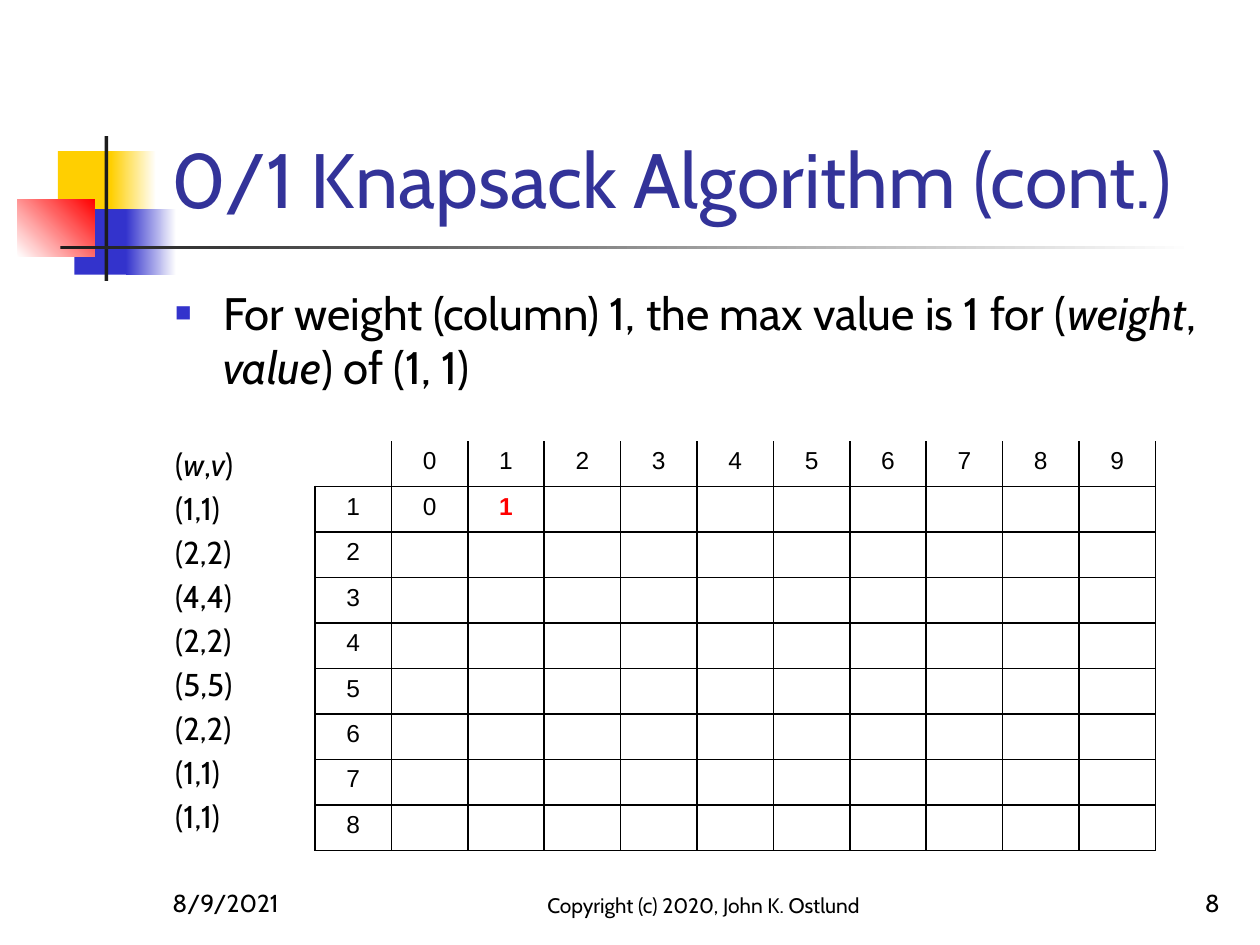
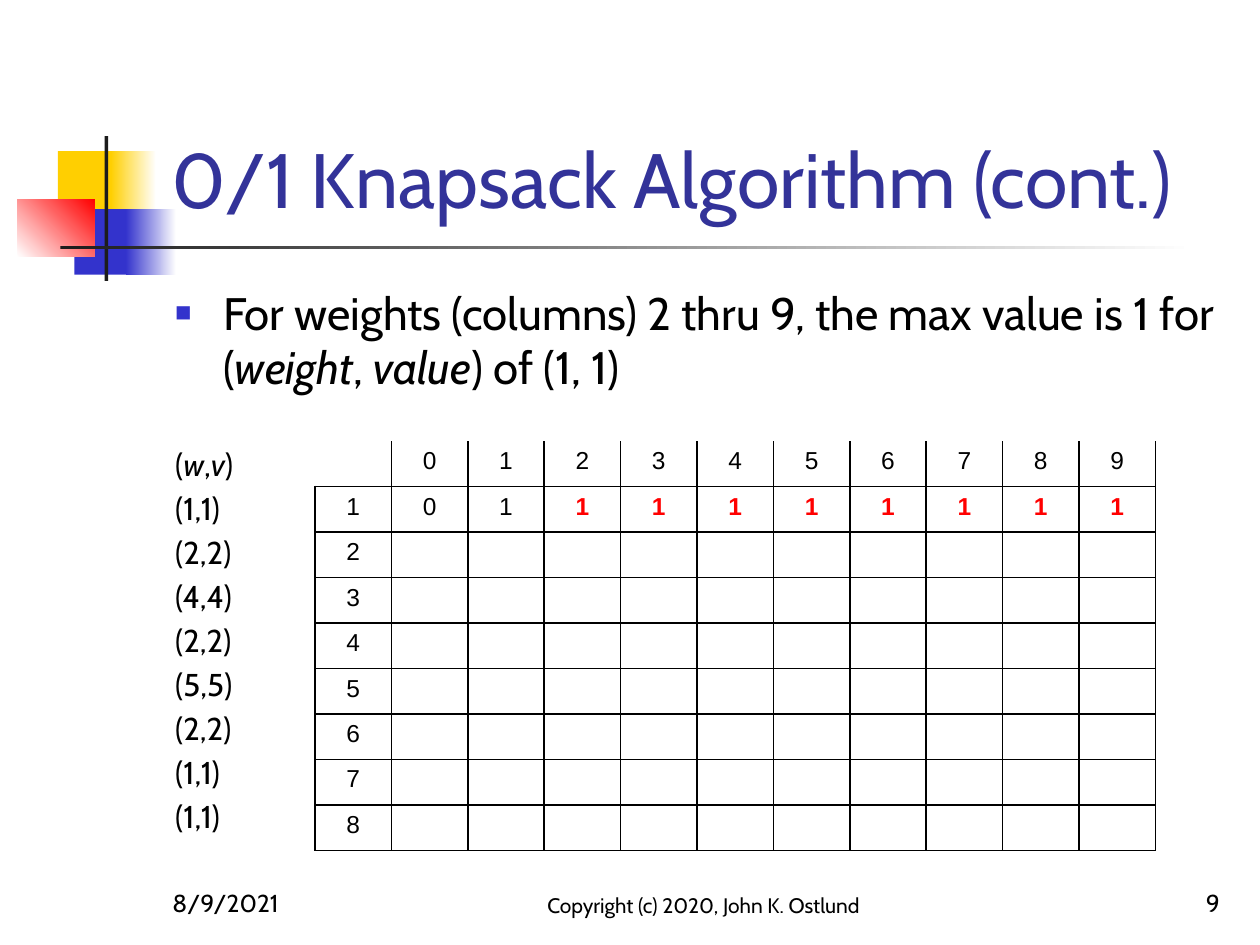
from dataclasses import dataclass
from typing import Any, NamedTuple

from lxml import etree
from pptx import Presentation
from pptx.dml.color import RGBColor
from pptx.enum.shapes import MSO_SHAPE
from pptx.enum.text import MSO_ANCHOR, MSO_AUTO_SIZE, PP_ALIGN
from pptx.oxml.ns import qn
from pptx.util import Inches, Pt

RECTANGLE = MSO_SHAPE.RECTANGLE
BOTTOM, TOP = MSO_ANCHOR.BOTTOM, MSO_ANCHOR.TOP
LEFT, CENTER, RIGHT = PP_ALIGN.LEFT, PP_ALIGN.CENTER, PP_ALIGN.RIGHT
NO_AUTOFIT = MSO_AUTO_SIZE.NONE

BLACK, WHITE, CHARCOAL = "000000", "FFFFFF", "1C1C1C"
YELLOW, BLUE, RED, NAVY = "FFCF01", "3333CC", "FF0000", "333399"
TEXT_FONT, TABLE_FONT = "Cabin", "Arial"

TITLE = "0/1 Knapsack Algorithm (cont.)"
ITEMS = [(1, 1), (2, 2), (4, 4), (2, 2), (5, 5), (2, 2), (1, 1), (1, 1)]
WEIGHTS = range(10)


class Area(NamedTuple):
    left: float
    top: float
    width: float
    height: float


class Span(NamedTuple):
    text: str
    italic: bool = False


@dataclass
class Bar:
    area: Area
    start: str
    end: str = ""
    angle: float = 0


@dataclass
class Footer:
    area: Area
    text: str
    align: Any
    size: int = 14


@dataclass
class KnapsackPage:
    number: int
    lead: str
    known: list[int]
    added: list[int]


BARS = [
    Bar(Area(0.46, 1.2, 0.48, 0.52), YELLOW),
    Bar(Area(0.88, 1.2, 0.36, 0.52), YELLOW, WHITE),
    Bar(Area(0.59, 1.66, 0.46, 0.52), BLUE),
    Bar(Area(1, 1.66, 0.4, 0.52), BLUE, WHITE),
    Bar(Area(0.14, 1.58, 0.61, 0.46), WHITE, RED, 45),
    Bar(Area(0.83, 1.08, 0.03, 1.15), CHARCOAL),
    Bar(Area(0.48, 1.95, 9, 0.03), CHARCOAL, WHITE),
]
TITLE_AREA = Area(1.26, 0.23, 8.52, 1.6)
BODY_AREA = Area(1.29, 2.21, 8.5, 4.5)
TABLE_AREA = Area(2.5, 3.5, 6.67, 3.25)

PAGES = [
    KnapsackPage(8, "For weight (column) 1, the max value is 1 for (", [0], [1]),
    KnapsackPage(9, "For weights (columns) 2 thru 9, the max value is 1 for (",
                 [0, 1], [1] * 8),
]


def color(value: str) -> RGBColor:
    return RGBColor.from_string(value)


def inches(area: Area) -> list[int]:
    return [Inches(length) for length in area]


def place(shape: Any, area: Area) -> None:
    shape.left, shape.top, shape.width, shape.height = inches(area)


def set_values(target: Any, values: dict[str, Any]) -> None:
    for name, value in values.items():
        setattr(target, name, value)


def add_span(para: Any, text: str, size: float, font: str = TEXT_FONT,
             fill: str = BLACK, bold: bool = False, italic: bool = False) -> None:
    span = para.add_run()
    span.text = text
    set_values(span.font, {"name": font, "size": Pt(size),
                           "bold": bold, "italic": italic})
    span.font.color.rgb = color(fill)


def add_bar(page: Any, bar: Bar, layer: int) -> None:
    shape = page.shapes.add_shape(RECTANGLE, *inches(bar.area))
    shape.shadow.inherit = False
    shape.line.fill.background()
    if bar.end:
        shape.fill.gradient()
        shape.fill.gradient_angle = bar.angle
        for stop, value in zip(shape.fill.gradient_stops, (bar.start, bar.end)):
            stop.color.rgb = color(value)
    else:
        shape.fill.solid()
        shape.fill.fore_color.rgb = color(bar.start)
    # Decoration lies behind the placeholders
    page.shapes._spTree.insert(2 + layer, shape._element)


def add_footer(page: Any, footer: Footer) -> None:
    box = page.shapes.add_textbox(*inches(footer.area))
    set_values(box.text_frame, {"word_wrap": True, "vertical_anchor": BOTTOM})
    para = box.text_frame.paragraphs[0]
    para.alignment = footer.align
    add_span(para, footer.text, footer.size)


def set_bullet(para: Any, character: str) -> None:
    properties = para._p.get_or_add_pPr()
    properties.set("marL", str(Inches(0.38)))
    properties.set("indent", str(Inches(-0.38)))
    bullet_color = etree.SubElement(properties, qn("a:buClr"))
    etree.SubElement(bullet_color, qn("a:srgbClr"), val=BLUE)
    etree.SubElement(properties, qn("a:buSzPct"), val="60000")
    etree.SubElement(properties, qn("a:buFont"), typeface=TABLE_FONT)
    etree.SubElement(properties, qn("a:buChar"), char=character)


def clear_bullet(para: Any) -> None:
    properties = para._p.get_or_add_pPr()
    properties.set("marL", "0")
    properties.set("indent", "0")
    etree.SubElement(properties, qn("a:buNone"))


def fill_title(page: Any) -> None:
    title = page.shapes.title
    place(title, TITLE_AREA)
    set_values(title.text_frame, {"word_wrap": True, "auto_size": NO_AUTOFIT,
                                  "vertical_anchor": BOTTOM})
    para = title.text_frame.paragraphs[0]
    para.alignment = LEFT
    add_span(para, TITLE, 44, fill=NAVY)


def fill_body(page: Any, lead: str) -> None:
    body = page.placeholders[1]
    place(body, BODY_AREA)
    frame = body.text_frame
    set_values(frame, {"word_wrap": True, "auto_size": NO_AUTOFIT,
                       "vertical_anchor": TOP})

    # Statement
    statement = frame.paragraphs[0]
    set_bullet(statement, "■")
    statement.space_before = Pt(0)
    for text, italic in (Span(lead), Span("weight", True), Span(", "),
                         Span("value", True), Span(") of (1, 1)")):
        add_span(statement, text, 26, italic=italic)

    # Item list beside the table rows
    heading = [Span("("), Span("w", True), Span(","), Span("v", True), Span(")")]
    rows = [heading] + [[Span(f"({weight},{value})")] for weight, value in ITEMS]
    for index, spans in enumerate(rows):
        para = frame.add_paragraph()
        clear_bullet(para)
        set_values(para, {"space_before": Pt(0 if index else 29),
                          "space_after": Pt(3.6)})
        for text, italic in spans:
            add_span(para, text, 18, italic=italic)


def set_borders(cell: Any, hidden: set[str]) -> None:
    properties = cell._tc.get_or_add_tcPr()
    for index, side in enumerate("LRTB"):
        line = etree.Element(qn(f"a:ln{side}"), w=str(Pt(1)))
        if side in hidden:
            etree.SubElement(line, qn("a:noFill"))
        else:
            fill = etree.SubElement(line, qn("a:solidFill"))
            etree.SubElement(fill, qn("a:srgbClr"), val=BLACK)
        properties.insert(index, line)


def add_value_table(page: Any, known: list[int], added: list[int]) -> None:
    row_count, column_count = len(ITEMS) + 1, len(WEIGHTS) + 1
    table = page.shapes.add_table(row_count, column_count,
                                  *inches(TABLE_AREA)).table
    set_values(table, {"first_row": False, "horz_banding": False})

    # Weights on top, item numbers at the left, values in the first item row
    texts = {(0, weight + 1): str(weight) for weight in WEIGHTS}
    texts |= {(row, 0): str(row) for row in range(1, row_count)}
    texts |= {(1, column): str(value)
              for column, value in enumerate(known + added, 1)}
    for row in range(row_count):
        for column in range(column_count):
            cell = table.cell(row, column)
            cell.fill.background()
            hidden = {"T"} if row == 0 else set()
            if row == column == 0:
                hidden.add("L")
            set_borders(cell, hidden)
            para = cell.text_frame.paragraphs[0]
            para.alignment = CENTER
            if (row, column) in texts:
                is_new = row == 1 and column > len(known)
                add_span(para, texts[row, column], 14, TABLE_FONT,
                         RED if is_new else BLACK, bold=is_new)
            else:
                etree.SubElement(para._p, qn("a:endParaRPr"), sz="1400")


def build_page(deck: Any, content: KnapsackPage) -> None:
    page = deck.slides.add_slide(deck.slide_layouts[1])
    for layer, bar in enumerate(BARS):
        add_bar(page, bar, layer)
    fill_title(page)
    fill_body(page, content.lead)
    for footer in (
        Footer(Area(1.27, 6.83, 2.08, 0.5), "8/9/2021", LEFT),
        Footer(Area(4, 6.83, 3.17, 0.5), "Copyright (c) 2020, John K. Ostlund",
               CENTER, 12),
        Footer(Area(7.7, 6.83, 2.08, 0.5), str(content.number), RIGHT),
    ):
        add_footer(page, footer)
    add_value_table(page, content.known, content.added)


def main() -> None:
    deck = Presentation()
    deck.slide_width, deck.slide_height = Inches(10), Inches(7.5)
    for content in PAGES:
        build_page(deck, content)
    deck.save("out.pptx")


if __name__ == "__main__":
    main()
